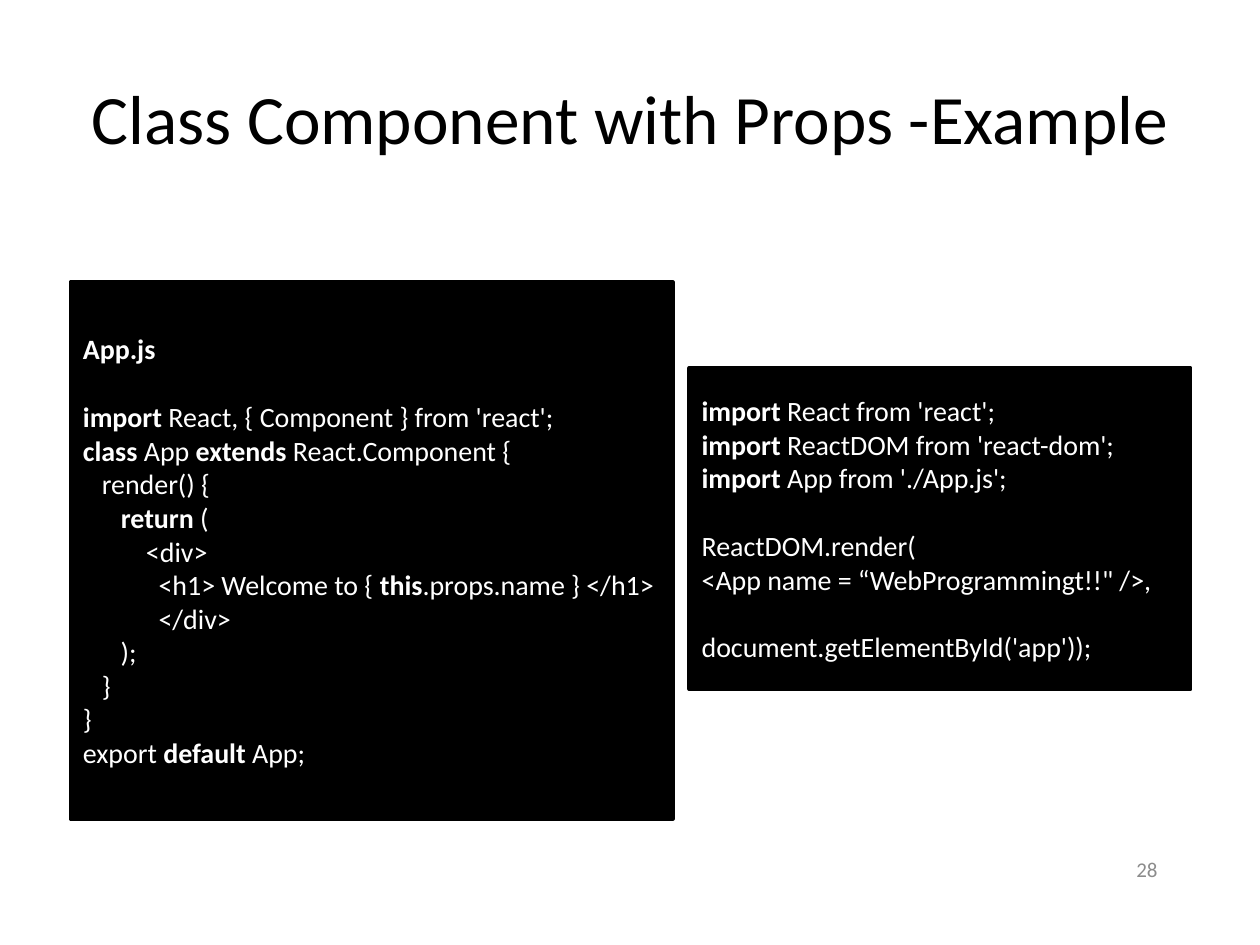
"""Build the slide on a class component with props."""
from dataclasses import dataclass

import pptx
import pptx.dml.color
import pptx.enum.shapes
import pptx.enum.text
import pptx.util

Inches = pptx.util.Inches
Pt = pptx.util.Pt
Align = pptx.enum.text.PP_ALIGN
Anchor = pptx.enum.text.MSO_ANCHOR
MARK = "**"
GAP = "\n\n"
LINE = 19.5


@dataclass
class Panel:
    left: float
    top: float
    width: float
    height: float
    code: str


APP = """**App.js**

**import** React, { Component } from 'react';
**class** App **extends** React.Component {
   render() {
      **return** (
          <div>
            <h1> Welcome to { **this**.props.name } </h1>
            </div>
      );
   }
}
export **default** App;"""

MAIN = """**import** React from 'react';
**import** ReactDOM from 'react-dom';
**import** App from './App.js';

ReactDOM.render(
<App name = “WebProgrammingt!!" />,

document.getElementById('app'));"""

PANELS = [
    Panel(0.56, 2.24, 4.78, 4.26, APP),
    Panel(5.47, 2.92, 3.98, 2.55, MAIN),
]


def paint(code: str) -> pptx.dml.color.RGBColor:
    """Turn a hex string into a colour."""
    return pptx.dml.color.RGBColor.from_string(code)


def style(font: pptx.text.text.Font, size: float, tint: str, bold: bool = False) -> None:
    """Set the size, face, weight and colour of a font."""
    form = {"name": "Calibri", "size": Pt(size), "bold": bold}
    for key, value in form.items():
        setattr(font, key, value)
    font.color.rgb = paint(tint)


def place(shape: pptx.shapes.base.BaseShape, *box: float) -> None:
    """Move and size a shape in inches."""
    for key, value in zip(("left", "top", "width", "height"), box):
        setattr(shape, key, Inches(value))


def label(frame: pptx.text.text.TextFrame, text: str, size: float, tint: str, align: Align) -> None:
    """Write one line in a text frame."""
    frame.word_wrap = True
    frame.vertical_anchor = Anchor.MIDDLE
    par = frame.paragraphs[0]
    par.alignment = align
    run = par.add_run()
    run.text = text
    style(run.font, size, tint)


def write(frame: pptx.text.text.TextFrame, code: str) -> None:
    """Write code lines, with marked words bold and blank lines as spacing."""
    par = frame.paragraphs[0]
    for i, block in enumerate(code.split(GAP)):
        for j, line in enumerate(block.split("\n")):
            if i or j:
                par = frame.add_paragraph()
            if i and not j:
                par.space_before = Pt(LINE)
            par.alignment = Align.LEFT
            for k, part in enumerate(line.split(MARK)):
                if part:
                    run = par.add_run()
                    run.text = part
                    style(run.font, 16, "FFFFFF", k % 2 == 1)


def draw(slide: pptx.slide.Slide, panel: Panel) -> None:
    """Draw a black panel of code."""
    box = map(Inches, (panel.left, panel.top, panel.width, panel.height))
    shape = slide.shapes.add_shape(pptx.enum.shapes.MSO_SHAPE.RECTANGLE, *box)
    shape.shadow.inherit = False
    shape.fill.solid()
    shape.fill.fore_color.rgb = paint("000000")
    shape.line.color.rgb = paint("000000")
    shape.line.width = Pt(2)
    frame = shape.text_frame
    frame.word_wrap = True
    frame.vertical_anchor = Anchor.MIDDLE
    write(frame, panel.code)


def main() -> None:
    """Build and save the slide."""
    deck = pptx.Presentation()
    deck.slide_width, deck.slide_height = Inches(10), Inches(7.5)
    slide = deck.slides.add_slide(deck.slide_layouts[5])
    title = slide.shapes.title
    place(title, 0.5, 0.3, 9, 1.25)
    label(title.text_frame, "Class Component with Props -Example", 39.6, "000000", Align.CENTER)
    for panel in PANELS:
        draw(slide, panel)
    page = slide.shapes.add_textbox(*map(Inches, (8.92, 6.7, 0.58, 0.4)))
    label(page.text_frame, "28", 12, "8C8C8C", Align.LEFT)
    deck.save("out.pptx")


if __name__ == "__main__":
    main()
